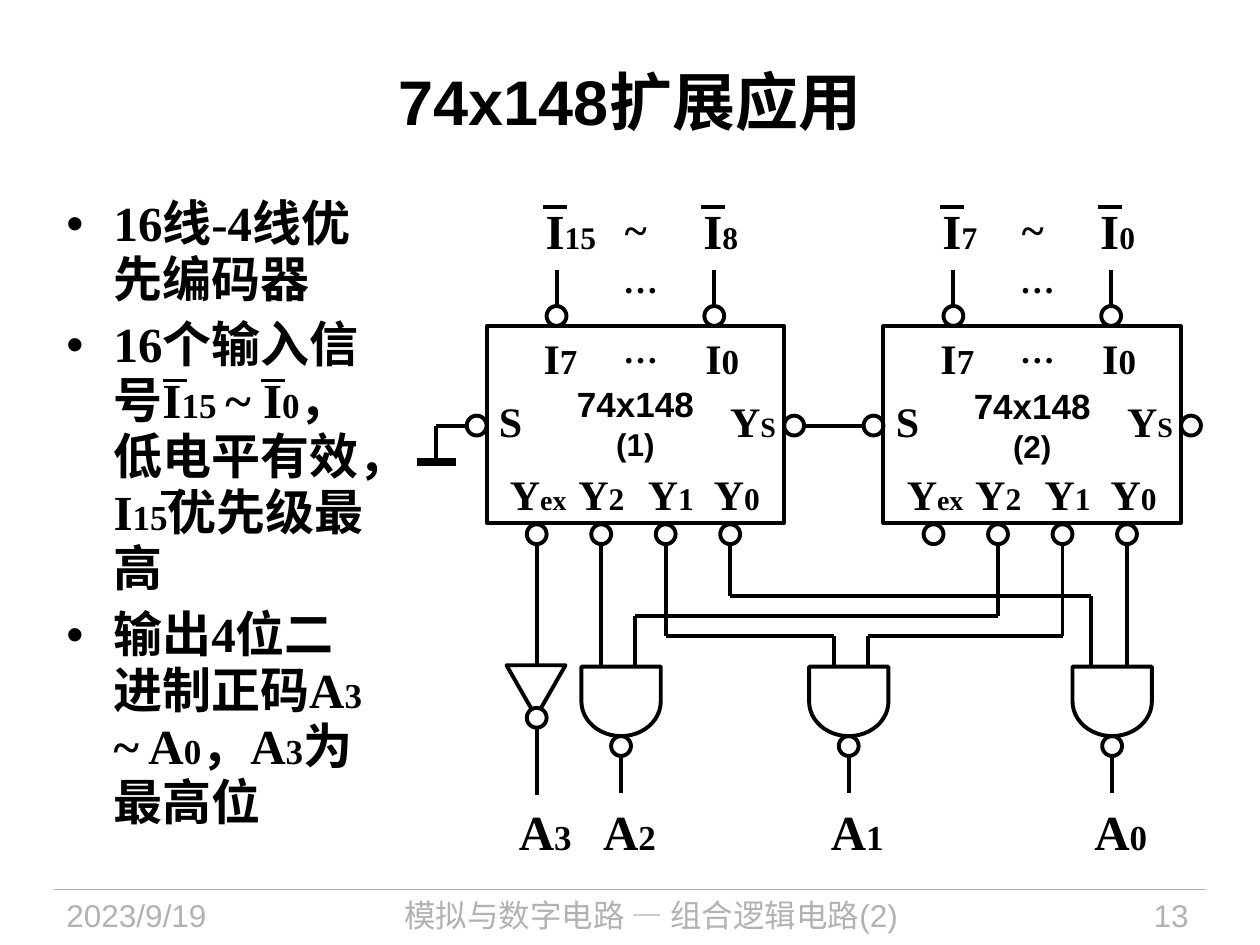
from dataclasses import dataclass

from lxml import etree
from pptx import Presentation
from pptx.dml.color import RGBColor
from pptx.enum.shapes import MSO_CONNECTOR, MSO_SHAPE
from pptx.enum.text import MSO_ANCHOR, MSO_AUTO_SIZE, PP_ALIGN
from pptx.oxml.ns import qn
from pptx.util import Cm, Pt

LEFT, CENTER, RIGHT = PP_ALIGN.LEFT, PP_ALIGN.CENTER, PP_ALIGN.RIGHT
TOP, MIDDLE = MSO_ANCHOR.TOP, MSO_ANCHOR.MIDDLE
FIT = MSO_AUTO_SIZE.SHAPE_TO_FIT_TEXT
STRAIGHT = MSO_CONNECTOR.STRAIGHT
RECTANGLE, OVAL = MSO_SHAPE.RECTANGLE, MSO_SHAPE.OVAL
TRIANGLE, DELAY = MSO_SHAPE.ISOSCELES_TRIANGLE, MSO_SHAPE.FLOWCHART_DELAY


@dataclass(frozen=True)
class Theme:
    ink: RGBColor = RGBColor(0, 0, 0)
    gray: RGBColor = RGBColor(0xB2, 0xB2, 0xB2)
    paper: RGBColor = RGBColor(255, 255, 255)
    sans: str = "Arial"
    serif: str = "Times New Roman"
    title: int = 36
    body: int = 28
    pin: int = 24
    medium: int = 20
    small: int = 18
    tiny: int = 16
    stroke: float = 2.25


theme = Theme()
deck = Presentation()
deck.slide_width, deck.slide_height = Cm(25.4), Cm(19.05)
page = deck.slides.add_slide(deck.slide_layouts[6])


def write(box, paragraphs, font=theme.serif, align=LEFT, anchor=TOP, inset=None,
          wrap=False, color=theme.ink, bold=True):
    frame = box.text_frame
    frame.word_wrap = wrap
    frame.vertical_anchor = anchor
    if inset is not None:
        frame.margin_left = frame.margin_right = Cm(inset)
        frame.margin_top = frame.margin_bottom = Cm(inset)
    for index, spans in enumerate(paragraphs):
        para = frame.paragraphs[0] if index == 0 else frame.add_paragraph()
        para.alignment = align
        for text, size in spans:
            span = para.add_run()
            span.text = text
            span.font.name = font
            span.font.size = Pt(size)
            span.font.bold = bold
            span.font.color.rgb = color
    return frame


def outline(kind, left, top, width=0.4, height=0.4, rotation=0):
    shape = page.shapes.add_shape(kind, Cm(left), Cm(top), Cm(width), Cm(height))
    shape.shadow.inherit = False
    shape.rotation = rotation
    shape.fill.background()
    shape.line.color.rgb = theme.ink
    shape.line.width = Pt(theme.stroke)
    return shape


footers = [
    ("2023/9/19", 1.09, 4.78, LEFT),
    ("模拟与数字电路 — 组合逻辑电路(2)", 6.32, 13.61, CENTER),
    ("13", 20.83, 3.38, RIGHT),
]
for text, left, width, align in footers:
    box = page.shapes.add_textbox(Cm(left), Cm(17.93), Cm(width), Cm(1.12))
    write(box, [[(text, theme.small)]], theme.sans, align, wrap=True,
          color=theme.gray, bold=False)

title = page.shapes.add_textbox(Cm(1.27), Cm(0.43), Cm(22.86), Cm(3.18))
write(title, [[("74x148扩展应用", theme.title)]], theme.sans, CENTER, MIDDLE, wrap=True)

big, sub = theme.body, theme.medium
points = [
    [("16线-4线优先编码器", big)],
    [("16个输入信号I", big), ("15 ", sub), ("~ I", big), ("0", sub),
     ("，低电平有效，I", big), ("15", sub), ("优先级最高", big)],
    [("输出4位二进制正码A", big), ("3 ", sub), ("~ A", big), ("0", sub),
     ("，A", big), ("3", sub), ("为最高位", big)],
]
body = page.shapes.add_textbox(Cm(1.09), Cm(3.84), Cm(6.71), Cm(14.1))
for para in write(body, points, wrap=True).paragraphs:
    para.line_spacing = 0.95
    para.space_after = Pt(5.6)
    properties = para._p.get_or_add_pPr()
    properties.set("marL", str(Cm(0.95)))
    properties.set("indent", str(Cm(-0.95)))
    etree.SubElement(properties, qn("a:buFont")).set("typeface", theme.sans)
    etree.SubElement(properties, qn("a:buChar")).set("char", "•")

chip_lefts = [9.81, 17.81]
chip_top, chip_width, chip_height = 6.58, 6, 3.96
side_y, output_y, input_y = 8.58, 10.57, 6.17
bubble = 0.4
output_xs = [1.01 + 1.3 * step for step in range(4)]
input_xs = [1.41, 4.59]
gates = [("2", 12.52), ("1", 17.11), ("0", 22.42)]
gate_top, gate_width, gate_height = 13.44, 1.6, 1.4
gate_bottom = gate_top + gate_height
lead_top = output_y + bubble

first_ex, first_y2, first_y1, first_y0 = [chip_lefts[0] + x for x in output_xs]
second_ex, second_y2, second_y1, second_y0 = [chip_lefts[1] + x for x in output_xs]
y0_bus, y2_bus, y1_bus = 12.01, 12.42, 12.83

wires = [
    (8.79, side_y, 9.41, side_y),
    (8.79, side_y, 8.79, 9.32),
    (16.21, side_y, 17.41, side_y),
    (first_ex, lead_top, first_ex, 16.03),
    (first_y2, lead_top, first_y2, gate_top),
    (first_y1, lead_top, first_y1, y1_bus),
    (first_y1, y1_bus, 16.81, y1_bus),
    (16.81, y1_bus, 16.81, gate_top),
    (first_y0, lead_top, first_y0, y0_bus),
    (first_y0, y0_bus, 22, y0_bus),
    (22, y0_bus, 22, gate_top),
    (second_y2, lead_top, second_y2, y2_bus),
    (12.8, y2_bus, second_y2, y2_bus),
    (12.8, y2_bus, 12.8, gate_top),
    (second_y1, lead_top, second_y1, y1_bus),
    (17.5, y1_bus, second_y1, y1_bus),
    (17.5, y1_bus, 17.5, gate_top),
    (second_y0, lead_top, second_y0, gate_top),
]
wires += [(x, gate_bottom + bubble, x, 15.98) for _, x in gates]
wires += [(left + x, 5.44, left + x, input_y) for left in chip_lefts for x in input_xs]
overbars = [(3.28, 7.67), (5.26, 7.67), (3.25, 9.93)]
overbars += [(left + x - 0.27, 4.17) for left in chip_lefts for x in input_xs]
wires += [(x, y, x + 0.48, y) for x, y in overbars]
lines = [(ends, theme.ink, theme.stroke) for ends in wires]
lines.append(((8.41, 9.32, 9.2, 9.32), theme.ink, 4.5))
lines.append(((1.09, 17.93, 24.31, 17.93), theme.gray, 0.75))
for ends, color, weight in lines:
    wire = page.shapes.add_connector(STRAIGHT, *[Cm(value) for value in ends])
    wire.line.color.rgb = color
    wire.line.width = Pt(weight)
    etree.SubElement(wire._element.spPr, qn("a:effectLst"))

labels = []
pin_labels = [
    ("S", "", theme.tiny, 0, 7.85, 0.99),
    ("Y", "S", theme.tiny, 4.66, 7.85, 1.45),
    ("Y", "ex", theme.tiny, 0.22, 9.32, 1.65),
    ("Y", "2", theme.small, 1.6, 9.32, 1.45),
    ("Y", "1", theme.small, 3, 9.32, 1.45),
    ("Y", "0", theme.small, 4.33, 9.32, 1.45),
    ("I", "7", theme.medium, 0.9, 6.58, 1.37),
    ("I", "0", theme.medium, 4.16, 6.58, 1.37),
]
chips = zip(chip_lefts, ("(1)", "(2)"), (("15", "8 "), ("7 ", "0 ")), (0.9, 1.0))
for chip_left, number, input_names, spacing in chips:
    chip = outline(RECTANGLE, chip_left, chip_top, chip_width, chip_height)
    frame = write(chip, [[("74x148", theme.medium)], [(number, theme.small)]],
                  theme.sans, CENTER, MIDDLE, 0)
    frame.paragraphs[0].line_spacing = spacing
    for x in (-bubble, chip_width):
        outline(OVAL, chip_left + x, side_y - bubble / 2)
    for x in output_xs:
        outline(OVAL, chip_left + x - bubble / 2, output_y)
    for x, name in zip(input_xs, input_names):
        outline(OVAL, chip_left + x - bubble / 2, input_y)
        width = 1.02 if name == "15" else 0.86
        labels.append(([("I", theme.body), (name, theme.small)],
                       chip_left + x - 0.22, 4.04, width, 1.19, CENTER, MIDDLE, 0))
    for letter, index, size, x, top, width in pin_labels:
        spans = [(letter, theme.pin)] + ([(index, size)] if index else [])
        labels.append((spans, chip_left + x, top, width, 1.27, LEFT, TOP, None))
    for top in (5.08, 6.5):
        labels.append(([("…", theme.medium)], chip_left + 2.5, top, 1.4, 1.09,
                       LEFT, TOP, None))
    labels.append(([("~", theme.pin)], chip_left + 2.79, 4.11, 0.43, 1.02,
                   CENTER, MIDDLE, 0))

for name, x in gates:
    outline(DELAY, x - gate_height / 2, gate_top + (gate_height - gate_width) / 2,
            gate_height, gate_width, 90)
    outline(OVAL, x - bubble / 2, gate_bottom)
inverter = outline(TRIANGLE, 10.21, 13.41, 1.19, 1.04, 180)
inverter_bubble = outline(OVAL, 10.62, 14.27)
for shape in (inverter, inverter_bubble):
    shape.fill.solid()
    shape.fill.fore_color.rgb = theme.paper

for name, x in [("3", first_ex)] + gates:
    labels.append(([("A", theme.body), (name, theme.medium)],
                   x - 0.36, 16.15, 1.07, 1.19, LEFT, MIDDLE, 0))
for spans, left, top, width, height, align, anchor, inset in labels:
    box = page.shapes.add_textbox(Cm(left), Cm(top), Cm(width), Cm(height))
    write(box, [spans], align=align, anchor=anchor, inset=inset).auto_size = FIT

deck.save("out.pptx")
